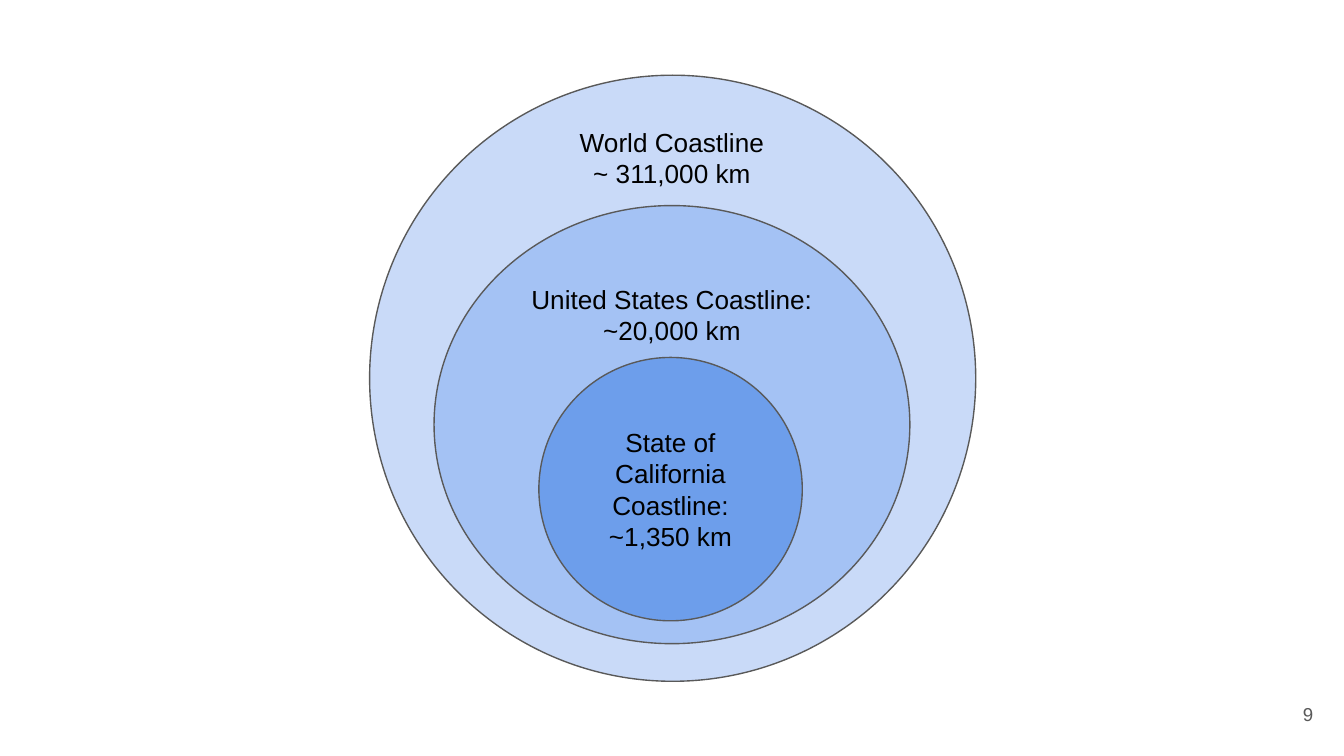
from dataclasses import dataclass

from pptx import Presentation
from pptx.dml.color import RGBColor
from pptx.enum.shapes import MSO_SHAPE
from pptx.enum.text import MSO_ANCHOR, PP_ALIGN
from pptx.util import Inches, Pt

OVAL = MSO_SHAPE.OVAL
TOP, MIDDLE = MSO_ANCHOR.TOP, MSO_ANCHOR.MIDDLE
CENTER, RIGHT = PP_ALIGN.CENTER, PP_ALIGN.RIGHT
BLACK, GRAY = "000000", "595959"


@dataclass
class Ring:
    """A circle of the nested diagram."""
    left: float
    top: float
    width: float
    height: float
    fill: str
    lines: tuple[str, ...] = ()
    anchor: MSO_ANCHOR = TOP


@dataclass
class Label:
    """A free text box."""
    left: float
    top: float
    width: float
    height: float
    lines: tuple[str, ...]
    anchor: MSO_ANCHOR = TOP
    align: PP_ALIGN = CENTER
    size: int = 14
    color: str = BLACK


RINGS = [
    Ring(2.75, 0.56, 4.51, 4.51, "C9DAF8"),
    Ring(3.23, 1.53, 3.54, 3.26, "A4C2F4",
         ("United States Coastline:", "~20,000 km")),
    Ring(4.01, 2.66, 1.96, 1.96, "6D9EEB",
         ("State of California Coastline:", "~1,350 km"), MIDDLE),
]
LABELS = [
    Label(3.75, 0.84, 2.5, 0.67, ("World Coastline", "~ 311,000 km")),
    Label(9.27, 5.1, 0.6, 0.43, ("9",), MIDDLE, RIGHT, 10, GRAY),
]


def paint(code: str) -> RGBColor:
    """Turn a hex string into a colour."""
    return RGBColor.from_string(code)


def place(item: Ring | Label) -> tuple[Inches, ...]:
    """Return the position and size of an item."""
    return tuple(map(Inches, (item.left, item.top, item.width, item.height)))


def write(shape, lines: tuple[str, ...], anchor: MSO_ANCHOR,
          align: PP_ALIGN = CENTER, size: int = 14, color: str = BLACK) -> None:
    """Fill a shape with one paragraph per line."""
    frame = shape.text_frame
    frame.word_wrap = True
    frame.vertical_anchor = anchor
    frame.margin_left = frame.margin_right = Inches(0.1)
    frame.margin_top = frame.margin_bottom = Inches(0.1)
    frame.text = "\n".join(lines)
    for para in frame.paragraphs:
        para.alignment = align
        para.font.name = "Arial"
        para.font.size = Pt(size)
        para.font.color.rgb = paint(color)


def draw_ring(slide, ring: Ring) -> None:
    """Draw a filled circle with its text."""
    shape = slide.shapes.add_shape(OVAL, *place(ring))
    shape.shadow.inherit = False
    shape.fill.solid()
    shape.fill.fore_color.rgb = paint(ring.fill)
    shape.line.color.rgb = paint(GRAY)
    shape.line.width = Pt(0.75)
    if ring.lines:
        write(shape, ring.lines, ring.anchor)


def draw_label(slide, label: Label) -> None:
    """Draw a text box."""
    box = slide.shapes.add_textbox(*place(label))
    write(box, label.lines, label.anchor, label.align, label.size, label.color)


def main() -> None:
    """Build and save the slide in 16:9 format."""
    deck = Presentation()
    deck.slide_width = Inches(10)
    deck.slide_height = Inches(10) * 9 // 16
    slide = deck.slides.add_slide(deck.slide_layouts[6])
    for ring in RINGS:
        draw_ring(slide, ring)
    for label in LABELS:
        draw_label(slide, label)
    deck.save("out.pptx")


if __name__ == "__main__":
    main()
